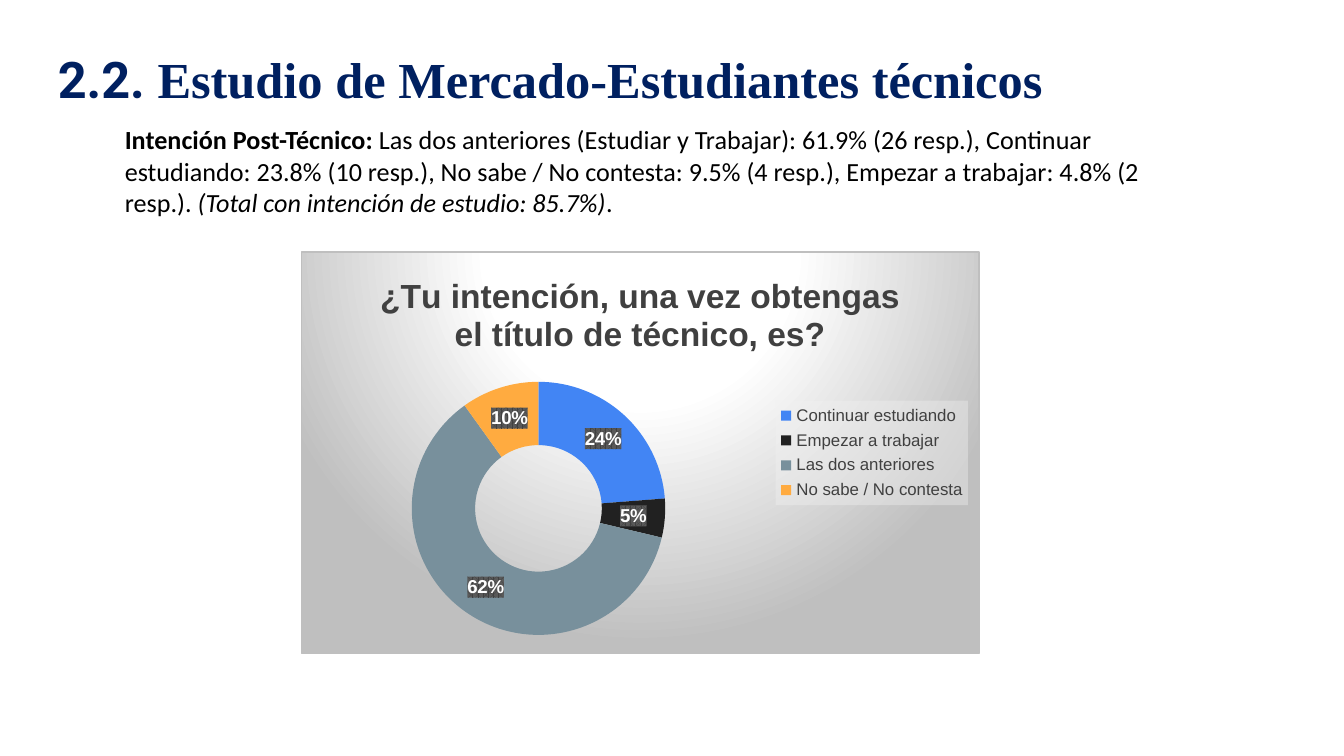
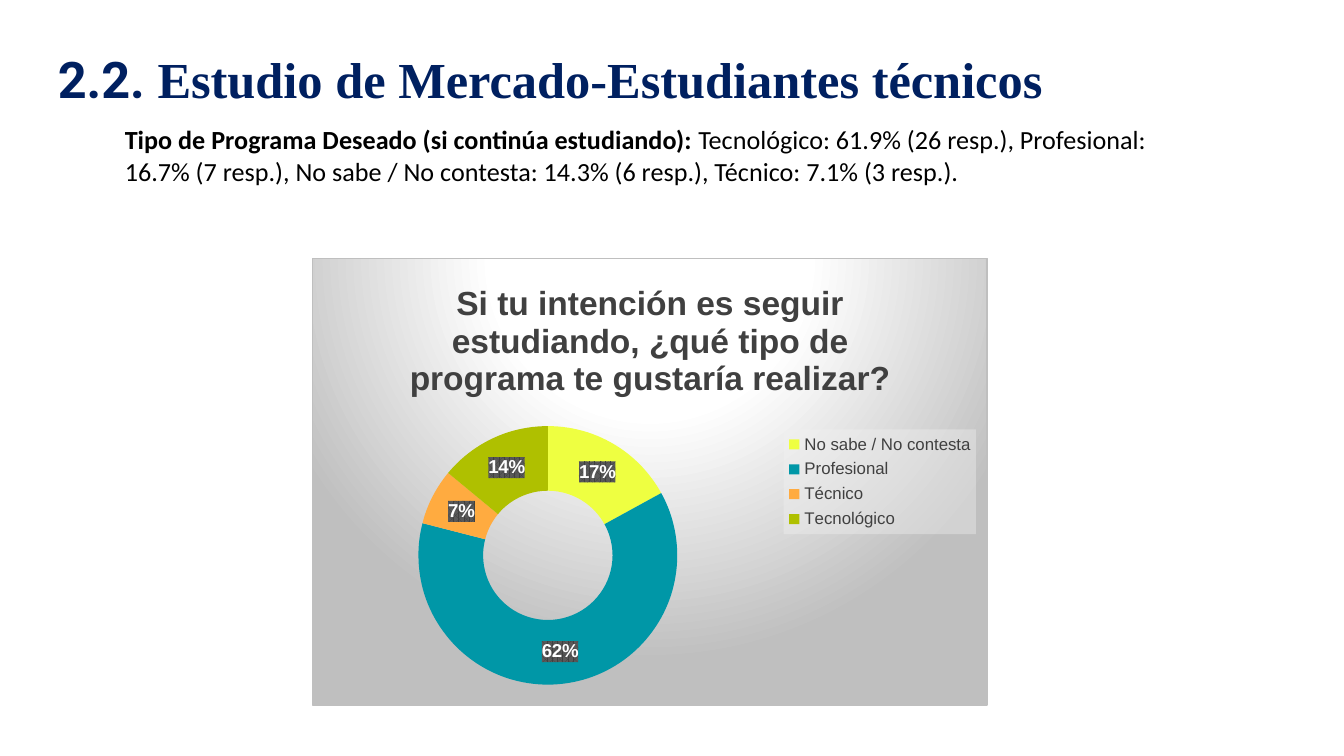
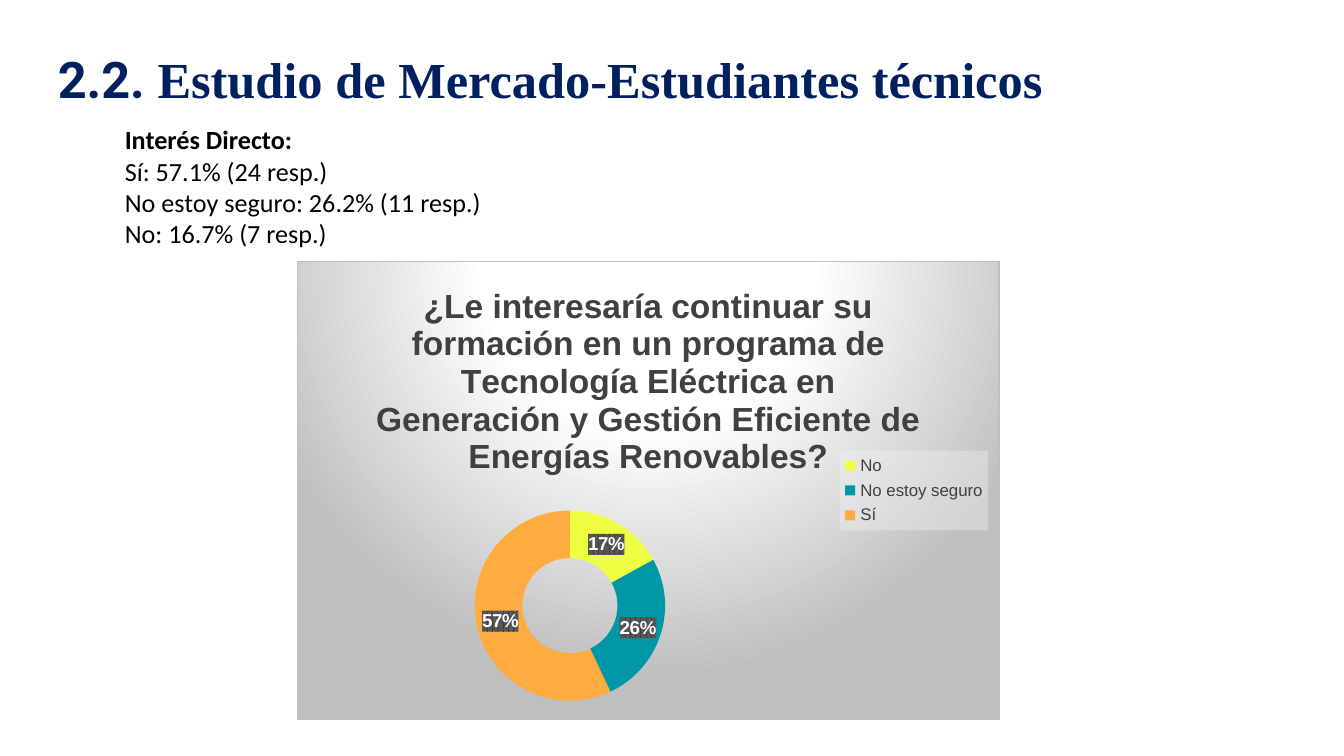
"""Build three market-study slides, each with a summary and a doughnut chart."""
from dataclasses import dataclass
from typing import Any

from lxml import etree
from pptx import Presentation
from pptx.chart.chart import Chart
from pptx.chart.data import CategoryChartData
from pptx.dml.color import RGBColor
from pptx.enum.chart import XL_CHART_TYPE, XL_LEGEND_POSITION
from pptx.enum.text import MSO_ANCHOR, MSO_AUTO_SIZE, PP_ALIGN
from pptx.oxml import parse_xml
from pptx.oxml.ns import nsdecls, qn
from pptx.slide import Slide
from pptx.text.text import TextFrame
from pptx.util import Inches, Pt

DOUGHNUT = XL_CHART_TYPE.DOUGHNUT
LEGEND_RIGHT = XL_LEGEND_POSITION.RIGHT
TOP = MSO_ANCHOR.TOP
GROW = MSO_AUTO_SIZE.SHAPE_TO_FIT_TEXT
LEFT = PP_ALIGN.LEFT
TITLE_ONLY = 5

COLORS = {
    "navy": "002060", "black": "000000", "white": "FFFFFF", "ink": "404040",
    "stripe": "595959", "silver": "BFBFBF", "pale": "F2F2F2",
    "blue": "4285F4", "coal": "212121", "slate": "78909C", "orange": "FFAB40",
    "yellow": "EEFF41", "teal": "0097A7", "olive": "AFC000",
}

FORMATS: dict[str, dict[str, Any]] = {
    "number": {"name": "Roboto", "size": Pt(27), "bold": True, "color": "navy"},
    "heading": {"name": "Times New Roman", "size": Pt(27), "bold": True, "color": "navy"},
    "body": {"name": "Calibri", "size": Pt(14), "bold": False, "color": "black"},
    "strong": {"name": "Calibri", "size": Pt(14), "bold": True, "color": "black"},
    "emphasis": {"name": "Calibri", "size": Pt(14), "bold": False, "italic": True, "color": "black"},
    "chart": {"name": "Arial", "size": Pt(10), "color": "black"},
    "question": {"name": "Arial", "size": Pt(18), "bold": True, "color": "ink"},
    "legend": {"name": "Arial", "size": Pt(9), "color": "ink"},
    "label": {"name": "Arial", "size": Pt(10), "bold": True, "color": "white"},
}

TITLE = [[("number", "2.2. "), ("heading", "Estudio de Mercado-Estudiantes técnicos")]]
TITLE_BOX = (0.33, 0.31, 8.76, 0.56)
QUESTION_TOP = 0.12

BACKDROP = f"""<a:gradFill><a:gsLst>
<a:gs pos="0"><a:srgbClr val="{COLORS['white']}"/></a:gs>
<a:gs pos="39000"><a:srgbClr val="{COLORS['white']}"/></a:gs>
<a:gs pos="100000"><a:srgbClr val="{COLORS['silver']}"/></a:gs></a:gsLst>
<a:path path="circle"><a:fillToRect l="50000" t="-80000" r="50000" b="180000"/></a:path>
</a:gradFill><a:ln w="9525"><a:solidFill><a:srgbClr val="{COLORS['silver']}"/></a:solidFill></a:ln>"""
LABEL_FILL = f"""<a:pattFill prst="pct75"><a:fgClr><a:srgbClr val="{COLORS['ink']}"/></a:fgClr>
<a:bgClr><a:srgbClr val="{COLORS['stripe']}"/></a:bgClr></a:pattFill><a:ln><a:noFill/></a:ln>"""
LEGEND_FILL = f"""<a:solidFill><a:srgbClr val="{COLORS['pale']}"><a:alpha val="39000"/></a:srgbClr>
</a:solidFill><a:ln><a:noFill/></a:ln>"""

Paragraphs = list[list[tuple[str, str]]]


@dataclass
class Slice:
    """One answer with its share and colour."""
    answer: str
    share: int
    color: str


@dataclass
class Survey:
    """One slide: summary text, chart frame, ring position and answers."""
    summary: Paragraphs
    summary_height: float
    question: str
    question_left: float
    frame: tuple[float, float, float, float]
    ring: tuple[float, float, float]
    slices: list[Slice]


SURVEYS = [
    Survey(
        [[("strong", "Intención Post-Técnico:"),
          ("body", " Las dos anteriores (Estudiar y Trabajar): 61.9% (26 resp.), Continuar "
                   "estudiando: 23.8% (10 resp.), No sabe / No contesta: 9.5% (4 resp.), "
                   "Empezar a trabajar: 4.8% (2 resp.). "),
          ("emphasis", "(Total con intención de estudio: 85.7%)"), ("body", ".")]],
        1.14, "¿Tu intención, una vez obtengas el título de técnico, es?", 0.54,
        (2.24, 1.87, 5.05, 3), (3.06, 2.84, 1.89),
        [Slice("Continuar estudiando", 24, "blue"), Slice("Empezar a trabajar", 5, "coal"),
         Slice("Las dos anteriores", 62, "slate"), Slice("No sabe / No contesta", 10, "orange")],
    ),
    Survey(
        [[("strong", "Tipo de Programa Deseado (si continúa estudiando):"),
          ("body", " Tecnológico: 61.9% (26 resp.), Profesional: 16.7% (7 resp.), "
                   "No sabe / No contesta: 14.3% (6 resp.), Técnico: 7.1% (3 resp.).")]],
        0.91, "Si tu intención es seguir estudiando, ¿qué tipo de programa te gustaría realizar?", 0.68,
        (2.32, 1.92, 5.03, 3.33), (3.11, 3.17, 1.93),
        [Slice("No sabe / No contesta", 17, "yellow"), Slice("Profesional", 62, "teal"),
         Slice("Técnico", 7, "orange"), Slice("Tecnológico", 14, "olive")],
    ),
    Survey(
        [[("strong", "Interés Directo:")], [("body", "Sí: 57.1% (24 resp.)")],
         [("body", "No estoy seguro: 26.2% (11 resp.)")], [("body", "No: 16.7% (7 resp.)")]],
        1.38, "¿Le interesaría continuar su formación en un programa de Tecnología Eléctrica "
        "en Generación y Gestión Eficiente de Energías Renovables?", 0.54,
        (2.21, 1.94, 5.23, 3.42), (3.53, 3.8, 1.42),
        [Slice("No", 17, "yellow"), Slice("No estoy seguro", 26, "teal"), Slice("Sí", 57, "orange")],
    ),
]


def apply_format(font: Any, style: str) -> None:
    """Set the font attributes of a named format."""
    for attribute, value in FORMATS[style].items():
        if attribute == "color":
            font.color.rgb = RGBColor.from_string(COLORS[value])
        else:
            setattr(font, attribute, value)


def write_text(text_frame: TextFrame, paragraphs: Paragraphs, vertical_inset: float) -> None:
    """Fill a text frame with formatted runs."""
    settings = {
        "word_wrap": True, "auto_size": GROW, "vertical_anchor": TOP,
        "margin_left": Inches(0.1), "margin_right": Inches(0.1),
        "margin_top": Inches(vertical_inset), "margin_bottom": Inches(vertical_inset),
    }
    for attribute, value in settings.items():
        setattr(text_frame, attribute, value)
    for index, runs in enumerate(paragraphs):
        paragraph = text_frame.add_paragraph() if index else text_frame.paragraphs[0]
        paragraph.alignment = LEFT
        for style, text in runs:
            run = paragraph.add_run()
            run.text = text
            apply_format(run.font, style)


def add_title(slide: Slide) -> None:
    """Place and fill the title placeholder."""
    title = slide.shapes.title
    for attribute, value in zip(("left", "top", "width", "height"), TITLE_BOX):
        setattr(title, attribute, Inches(value))
    write_text(title.text_frame, TITLE, 0.05)


def set_fill(element: Any, fill: str) -> None:
    """Insert shape properties ahead of the text properties of a chart part."""
    properties = parse_xml(f"<c:spPr {nsdecls('c', 'a')}>{fill}</c:spPr>")
    element.find(qn("c:txPr")).addprevious(properties)


def set_layout(element: Any, position: int, inner: bool, **fractions: float) -> None:
    """Give a chart part a manual layout in fractions of the chart."""
    for old_layout in element.findall(qn("c:layout")):
        element.remove(old_layout)
    layout = etree.Element(qn("c:layout"))
    manual = etree.SubElement(layout, qn("c:manualLayout"))
    entries: dict[str, Any] = {"layoutTarget": "inner"} if inner else {}
    entries |= {"xMode": "edge", "yMode": "edge"} | fractions
    for name, value in entries.items():
        etree.SubElement(manual, qn(f"c:{name}")).set("val", str(value))
    element.insert(position, layout)


def place_parts(chart: Chart, survey: Survey) -> None:
    """Position the question and the ring inside the chart."""
    left, top, width, height = survey.frame
    ring_left, ring_top, diameter = survey.ring
    set_layout(chart.chart_title._element, 1, False,
               x=survey.question_left / width, y=QUESTION_TOP / height)
    set_layout(chart._chartSpace.chart.plotArea, 0, True,
               x=(ring_left - left) / width, y=(ring_top - top) / height,
               w=diameter / width, h=diameter / height)


def add_doughnut(slide: Slide, survey: Survey) -> None:
    """Draw the doughnut chart of a survey question."""
    data = CategoryChartData()
    data.categories = [part.answer for part in survey.slices]
    data.add_series("Series 1", [part.share for part in survey.slices])
    chart = slide.shapes.add_chart(DOUGHNUT, *map(Inches, survey.frame), data).chart
    apply_format(chart.font, "chart")
    set_fill(chart._chartSpace, BACKDROP)

    chart.has_title = True
    paragraph = chart.chart_title.text_frame.paragraphs[0]
    paragraph.text = survey.question
    apply_format(paragraph.runs[0].font, "question")

    chart.has_legend = True
    chart.legend.position = LEGEND_RIGHT
    chart.legend.include_in_layout = False
    apply_format(chart.legend.font, "legend")
    set_fill(chart.legend._element, LEGEND_FILL)

    plot = chart.plots[0]
    plot.vary_by_categories = True
    series = plot.series[0]
    for index, part in enumerate(survey.slices):
        point_format = series.points[index].format
        point_format.fill.solid()
        point_format.fill.fore_color.rgb = RGBColor.from_string(COLORS[part.color])
        point_format.line.fill.background()

    labels = series.data_labels
    settings = {"show_value": True, "show_percentage": False,
                "number_format": '0"%"', "number_format_is_linked": False}
    for attribute, value in settings.items():
        setattr(labels, attribute, value)
    apply_format(labels.font, "label")
    set_fill(labels._element, LABEL_FILL)
    place_parts(chart, survey)


def main() -> None:
    """Build and save the presentation."""
    presentation = Presentation()
    presentation.slide_width = Inches(10)
    presentation.slide_height = presentation.slide_width * 9 // 16
    for survey in SURVEYS:
        slide = presentation.slides.add_slide(presentation.slide_layouts[TITLE_ONLY])
        add_title(slide)
        summary_box = (0.83, 0.82, 8.01, survey.summary_height)
        summary = slide.shapes.add_textbox(*map(Inches, summary_box))
        write_text(summary.text_frame, survey.summary, 0.1)
        add_doughnut(slide, survey)
    presentation.save("out.pptx")


if __name__ == "__main__":
    main()
